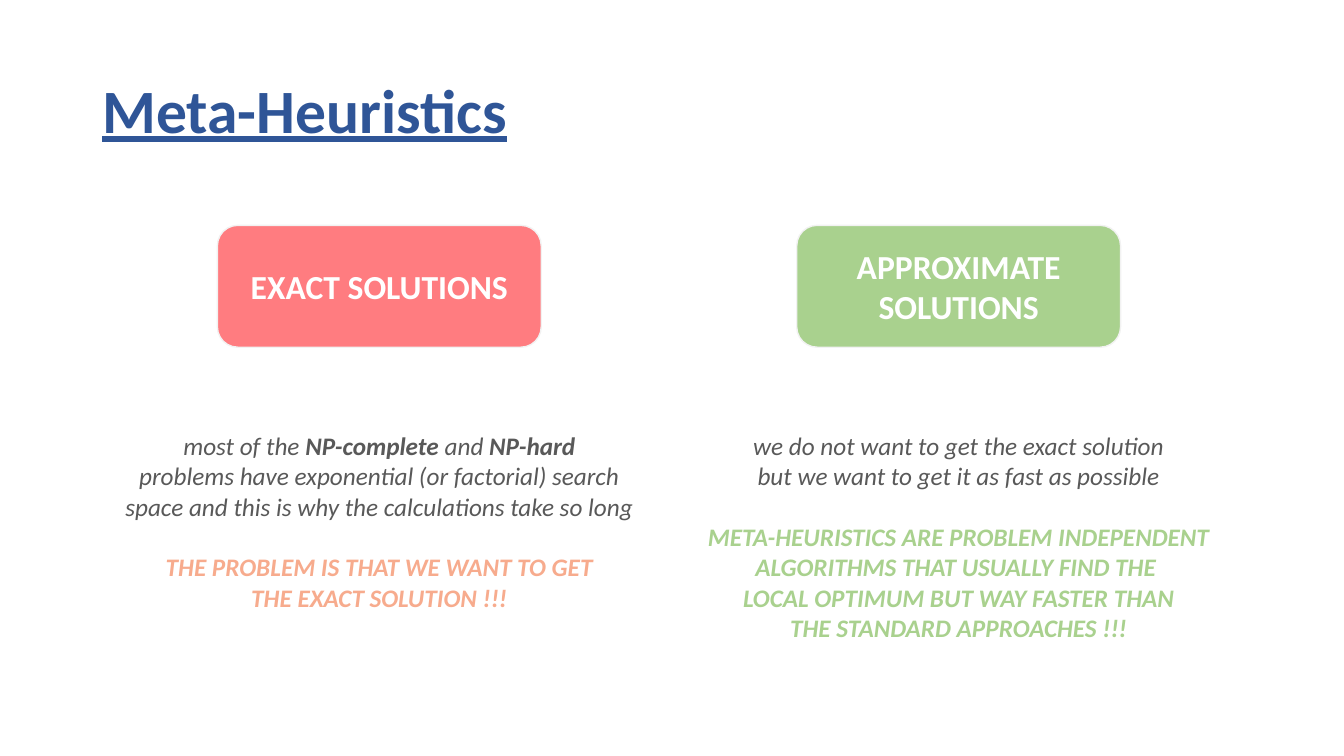
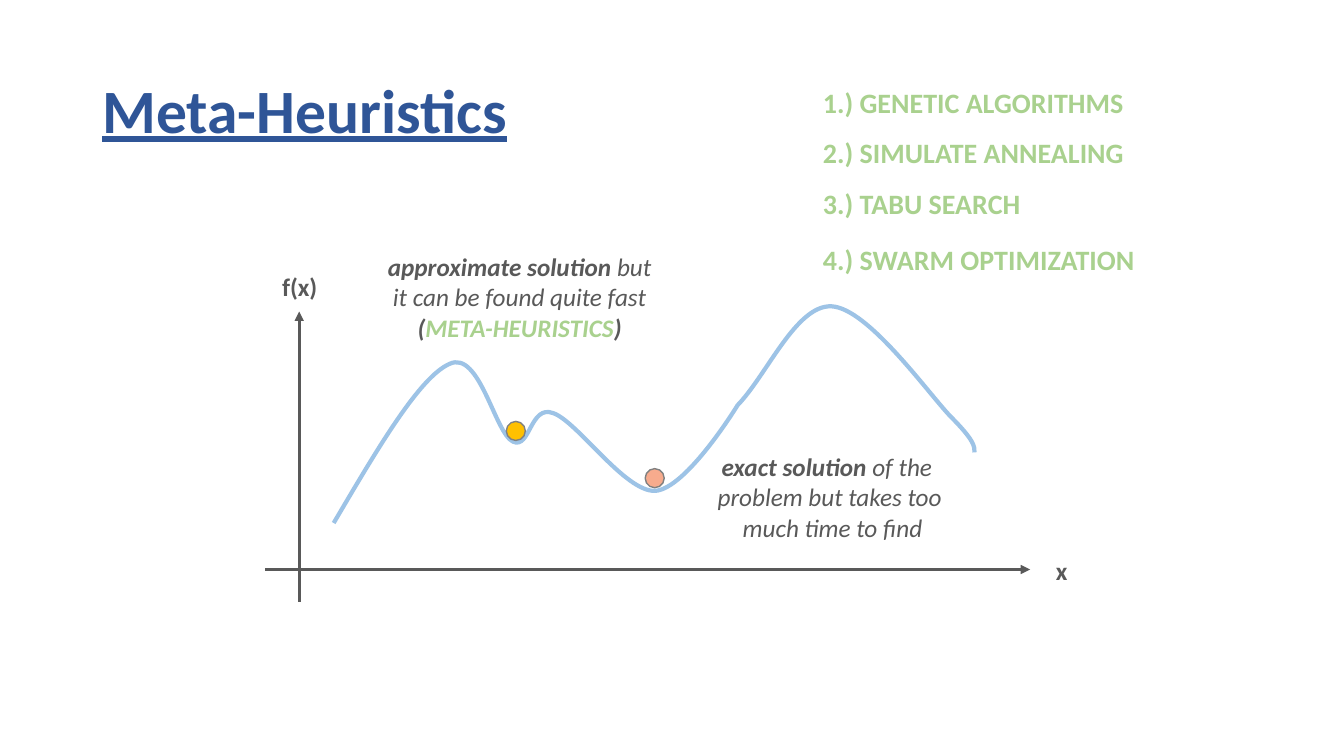
import pptx
import pptx.dml.color
import pptx.enum.shapes
import pptx.enum.text
import pptx.oxml
import pptx.oxml.ns
import pptx.util

Cm = pptx.util.Cm
Pt = pptx.util.Pt
qn = pptx.oxml.ns.qn
Shape = pptx.enum.shapes.MSO_SHAPE
Align = pptx.enum.text.PP_ALIGN
Anchor = pptx.enum.text.MSO_ANCHOR

FONT = "Calibri"
DRAWING_NS = pptx.oxml.ns.nsdecls("a")
COLORS = {
    "title": "2F5597",
    "text": "595959",
    "red": "FF7C80",
    "green": "A9D18E",
    "orange": "F7AB8D",
    "yellow": "FFC000",
    "curve": "9DC3E6",
    "white": "FFFFFF",
    "box_line": "F2F2F2",
    "dot_line": "808080",
}
LINE_GAP = 21.9  # height of one 18 pt line, in points


def rgb(name):
    return pptx.dml.color.RGBColor.from_string(COLORS[name])


def format_run(r, size, color, bold=False, italic=False):
    r.font.name = FONT
    r.font.size = Pt(size)
    r.font.bold = bold
    r.font.italic = italic
    r.font.color.rgb = rgb(color)


def add_text(s, box, lines, size=18, italic=False, align=Align.CENTER, gap_at=None):
    """Each line is a list of (text, color, bold) runs; a gap precedes line gap_at."""
    tf = s.shapes.add_textbox(*(Cm(v) for v in box)).text_frame
    tf.word_wrap = False
    for i, line in enumerate(lines):
        p = tf.add_paragraph() if i else tf.paragraphs[0]
        p.alignment = align
        if i == gap_at:
            p.space_before = Pt(LINE_GAP)
        for text, color, bold in line:
            r = p.add_run()
            r.text = text
            format_run(r, size, color, bold, italic)
    return tf


def plain(color, bold, *texts):
    """Lines that hold a single run each."""
    return [[(text, color, bold)] for text in texts]


def add_title(s, text):
    tf = add_text(s, (2.33, 1.01, 29.21, 3.68), plain("title", True, text), 44, align=Align.LEFT)
    tf.word_wrap = True
    tf.vertical_anchor = Anchor.MIDDLE
    p = tf.paragraphs[0]
    p.line_spacing = 0.9
    p.runs[0].font.underline = True


def add_shape(s, kind, box, fill, line):
    shape = s.shapes.add_shape(kind, *(Cm(v) for v in box))
    shape.shadow.inherit = False
    shape.fill.solid()
    shape.fill.fore_color.rgb = rgb(fill)
    shape.line.color.rgb = rgb(line)
    shape.line.width = Pt(1)
    return shape


def add_column(s, center, heading, color, lines, gap_at):
    """A coloured heading box with centred text below it."""
    box_width, text_width = 8.16, 13.4
    box = (center - box_width / 2, 5.68, box_width, 3.07)
    tf = add_shape(s, Shape.ROUNDED_RECTANGLE, box, color, "box_line").text_frame
    tf.word_wrap = True
    tf.vertical_anchor = Anchor.MIDDLE
    tf.text = heading
    p = tf.paragraphs[0]
    p.alignment = Align.CENTER
    format_run(p.runs[0], 24, "white", bold=True)
    height = 0.25 + 0.77 * (len(lines) + 1)
    add_text(s, (center - text_width / 2, 10.72, text_width, height), lines,
             italic=True, gap_at=gap_at)


def add_axis(s, start, end):
    axis = s.shapes.add_connector(pptx.enum.shapes.MSO_CONNECTOR.STRAIGHT,
                                  *(Cm(v) for v in start + end))
    axis.line.color.rgb = rgb("text")
    axis.line.width = Pt(2.25)
    sp_pr = axis.element.spPr
    head = pptx.oxml.parse_xml(f'<a:tailEnd {DRAWING_NS} type="triangle"/>')
    sp_pr.find(qn("a:ln")).append(head)
    sp_pr.append(pptx.oxml.parse_xml(f"<a:effectLst {DRAWING_NS}/>"))


def add_curve(s, start, segments):
    """A smooth open line through cubic segments (two controls and an end point)."""
    builder = s.shapes.build_freeform(Cm(start[0]), Cm(start[1]))
    builder.add_line_segments([(Cm(x), Cm(y)) for segment in segments for x, y in segment],
                              close=False)
    curve = builder.convert_to_shape()
    # Join each three straight steps into one cubic segment
    steps = list(curve.element.iter(qn("a:lnTo")))
    for i in range(0, len(steps), 3):
        cubic = pptx.oxml.parse_xml(f"<a:cubicBezTo {DRAWING_NS}/>")
        steps[i].addprevious(cubic)
        for step in steps[i:i + 3]:
            cubic.append(step[0])
            step.getparent().remove(step)
    curve.shadow.inherit = False
    curve.fill.background()
    curve.line.color.rgb = rgb("curve")
    curve.line.width = Pt(3)


def build_comparison(s):
    add_title(s, "Meta-Heuristics")
    exact = [[("most of the ", "text", False), ("NP-complete", "text", True),
              (" and ", "text", False), ("NP-hard", "text", True)]]
    exact += plain("text", False,
                   "problems have exponential (or factorial) search",
                   "space and this is why the calculations take so long")
    exact += plain("orange", True,
                   "THE PROBLEM IS THAT WE WANT TO GET",
                   "THE EXACT SOLUTION !!!")
    add_column(s, 9.56, "EXACT SOLUTIONS", "red", exact, gap_at=3)

    approximate = plain("text", False,
                        "we do not want to get the exact solution",
                        "but we want to get it as fast as possible")
    approximate += plain("green", True,
                         "META-HEURISTICS ARE PROBLEM INDEPENDENT",
                         "ALGORITHMS THAT USUALLY FIND THE ",
                         "LOCAL OPTIMUM BUT WAY FASTER THAN",
                         "THE STANDARD APPROACHES !!!")
    add_column(s, 24.16, "APPROXIMATE SOLUTIONS", "green", approximate, gap_at=2)


def build_function_plot(s):
    add_title(s, "Meta-Heuristics")

    # Axes
    add_axis(s, (7.54, 15.16), (7.54, 7.85))
    add_axis(s, (6.68, 14.35), (25.96, 14.35))

    # Function with a local and a global minimum
    add_curve(s, (8.41, 13.18), [
        ((9.5, 11.33), (10.57, 9.5), (11.33, 9.17)),
        ((12.09, 8.81), (12.47, 10.92), (12.93, 11.13)),
        ((13.36, 11.33), (13.36, 10.19), (13.94, 10.41)),
        ((14.55, 10.62), (15.75, 12.4), (16.51, 12.37)),
        ((17.3, 12.32), (18.59, 10.21), (18.59, 10.21)),
        ((19.33, 9.45), (20.07, 7.67), (20.96, 7.72)),
        ((21.87, 7.77), (23.37, 9.88), (23.95, 10.49)),
        ((24.56, 11.1), (24.56, 11.25), (24.56, 11.4)),
    ])
    for left, top, color in ((12.76, 10.62, "yellow"), (16.26, 11.81, "orange")):
        add_shape(s, Shape.OVAL, (left, top, 0.48, 0.48), color, "dot_line")

    # Axis labels
    for text, left, top, width in (("f(x)", 6.86, 6.71, 1.42), ("x", 26.36, 13.87, 0.81)):
        add_text(s, (left, top, width, 1.02), plain("text", True, text), align=Align.LEFT)

    # Notes on the two minima
    exact = [[("exact solution", "text", True), (" of the ", "text", False)]]
    exact += plain("text", False, "problem but takes too", " much time to find")
    add_text(s, (17.8, 11.25, 6.22, 2.57), exact, italic=True)
    approximate = [
        [("approximate solution ", "text", True), ("but", "text", False)],
        [("it can be found quite fast", "text", False)],
        [("(", "text", True), ("META-HEURISTICS", "green", True), (")", "text", True)],
    ]
    add_text(s, (9.45, 6.21, 7.29, 2.57), approximate, italic=True)

    # Methods
    for text, top, width in (("1.) GENETIC ALGORITHMS", 2.03, 8.15),
                             ("2.) SIMULATE ANNEALING", 3.3, 8.15),
                             ("3.) TABU SEARCH", 4.58, 5.54),
                             ("4.) SWARM OPTIMIZATION", 5.98, 8.43)):
        add_text(s, (20.49, top, width, 1.11), plain("green", True, text), 20, align=Align.LEFT)


def main():
    prs = pptx.Presentation()
    prs.slide_width, prs.slide_height = Cm(33.87), Cm(19.05)
    for build in (build_comparison, build_function_plot):
        build(prs.slides.add_slide(prs.slide_layouts[6]))
    prs.save("out.pptx")


if __name__ == "__main__":
    main()
